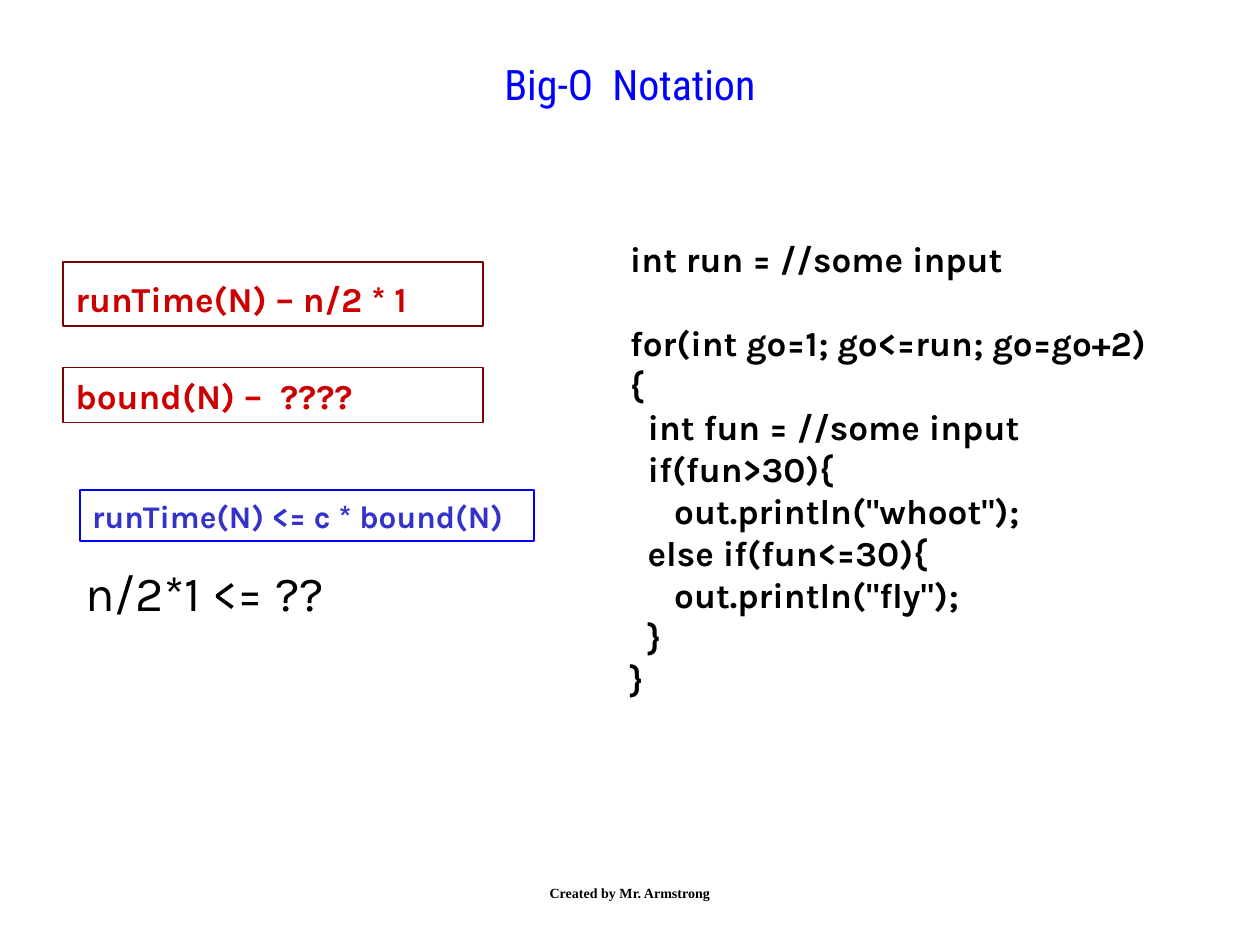
from dataclasses import dataclass

from pptx import Presentation
from pptx.dml.color import RGBColor
from pptx.enum.shapes import MSO_SHAPE
from pptx.enum.text import MSO_ANCHOR, PP_ALIGN
from pptx.util import Cm, Pt


@dataclass(frozen=True)
class Theme:
    body: str = "Karla"
    head: str = "Roboto Condensed"
    foot: str = "Times New Roman"
    black: str = "000000"
    blue: str = "0000FF"
    red: str = "CC0000"
    maroon: str = "800000"
    indigo: str = "3333CC"
    title: int = 24
    code: int = 20
    rule: int = 18
    ask: int = 28
    note: int = 8


THEME = Theme()

CODE = [
    "int run = //some input",
    "for(int go=1; go<=run; go=go+2)",
    "{",
    "  int fun = //some input",
    "  if(fun>30){",
    '     out.println("whoot");',
    '  else if(fun<=30){\v     out.println("fly");',
    "  }",
    "}",
]


def write(shape, lines, face, size, color, bold=False,
          align=PP_ALIGN.LEFT, anchor=MSO_ANCHOR.TOP, wrap=False):
    frame = shape.text_frame
    frame.word_wrap = wrap
    frame.vertical_anchor = anchor
    frame.text = "\n".join(lines)
    for para in frame.paragraphs:
        para.alignment = align
        font = para.font
        font.name, font.size, font.bold = face, Pt(size), bold
        font.color.rgb = RGBColor.from_string(color)
    return frame


def add_title(slide, left, top, width, height):
    title = slide.shapes.title
    title.left, title.top = Cm(left), Cm(top)
    title.width, title.height = Cm(width), Cm(height)
    write(title, ["Big-O  Notation"], THEME.head, THEME.title, THEME.blue,
          align=PP_ALIGN.CENTER)


def add_text(slide, box, lines, *style, **more):
    shape = slide.shapes.add_textbox(*map(Cm, box))
    return write(shape, lines, *style, **more)


def add_frame(slide, box, text, size, color, edge):
    shape = slide.shapes.add_shape(MSO_SHAPE.RECTANGLE, *map(Cm, box))
    shape.shadow.inherit = False
    shape.fill.background()
    shape.line.color.rgb = RGBColor.from_string(edge)
    shape.line.width = Pt(1)
    write(shape, [text], THEME.body, size, color, bold=True,
          anchor=MSO_ANCHOR.BOTTOM)


def add_terms(slide, left, top):
    wide = 8.47
    add_frame(slide, (left, top, wide, 1.28), "runTime(N) – n/2 * 1",
              THEME.code, THEME.red, THEME.maroon)
    add_frame(slide, (left, top + 2.12, wide, 1.11), "bound(N) –  ????",
              THEME.code, THEME.red, THEME.maroon)
    add_frame(slide, (left + 0.34, top + 4.59, 9.16, 1.03),
              "runTime(N) <= c * bound(N)",
              THEME.rule, THEME.indigo, THEME.blue)
    add_text(slide, (left + 0.2, top + 5.93, 5.66, 1.45), ["n/2*1 <= ??"],
             THEME.body, THEME.ask, THEME.black)


def add_code(slide, *box):
    frame = add_text(slide, box, CODE, THEME.body, THEME.code, THEME.black,
                     bold=True)
    frame.paragraphs[1].space_before = Pt(24)


def add_foot(slide, *box):
    add_text(slide, box, ["Created by Mr. Armstrong"], THEME.foot,
             THEME.note, THEME.black, bold=True, align=PP_ALIGN.CENTER,
             anchor=MSO_ANCHOR.MIDDLE, wrap=True)


def main():
    deck = Presentation()
    deck.slide_width, deck.slide_height = Cm(25.4), Cm(19.05)
    slide = deck.slides.add_slide(deck.slide_layouts[5])
    add_title(slide, 4.23, 1.06, 16.94, 2.12)
    add_terms(slide, 1.27, 5.29)
    add_code(slide, 12.45, 4.66, 11.58, 9.57)
    add_foot(slide, 8.68, 17.36, 8.04, 1.27)
    deck.save("out.pptx")


if __name__ == "__main__":
    main()
